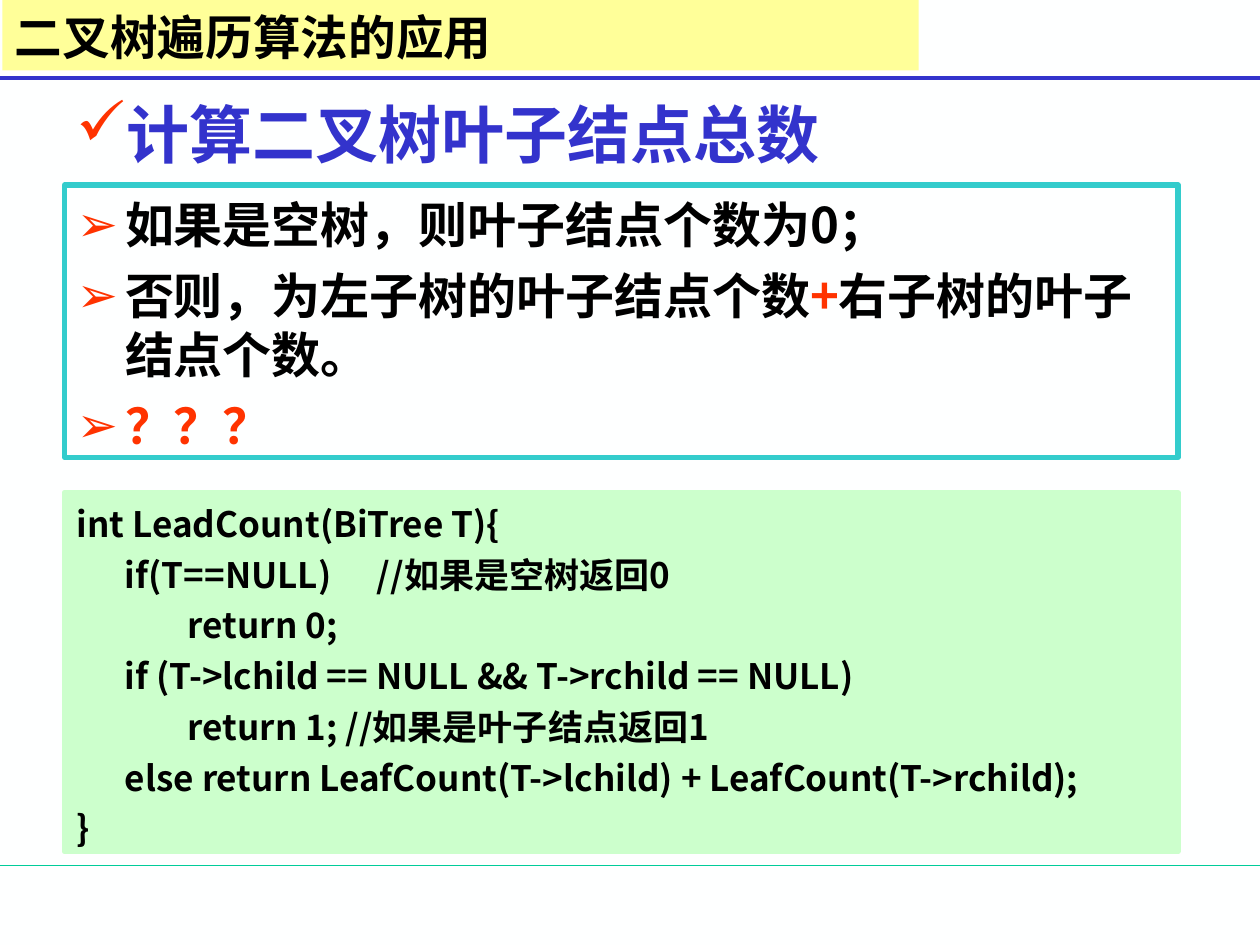
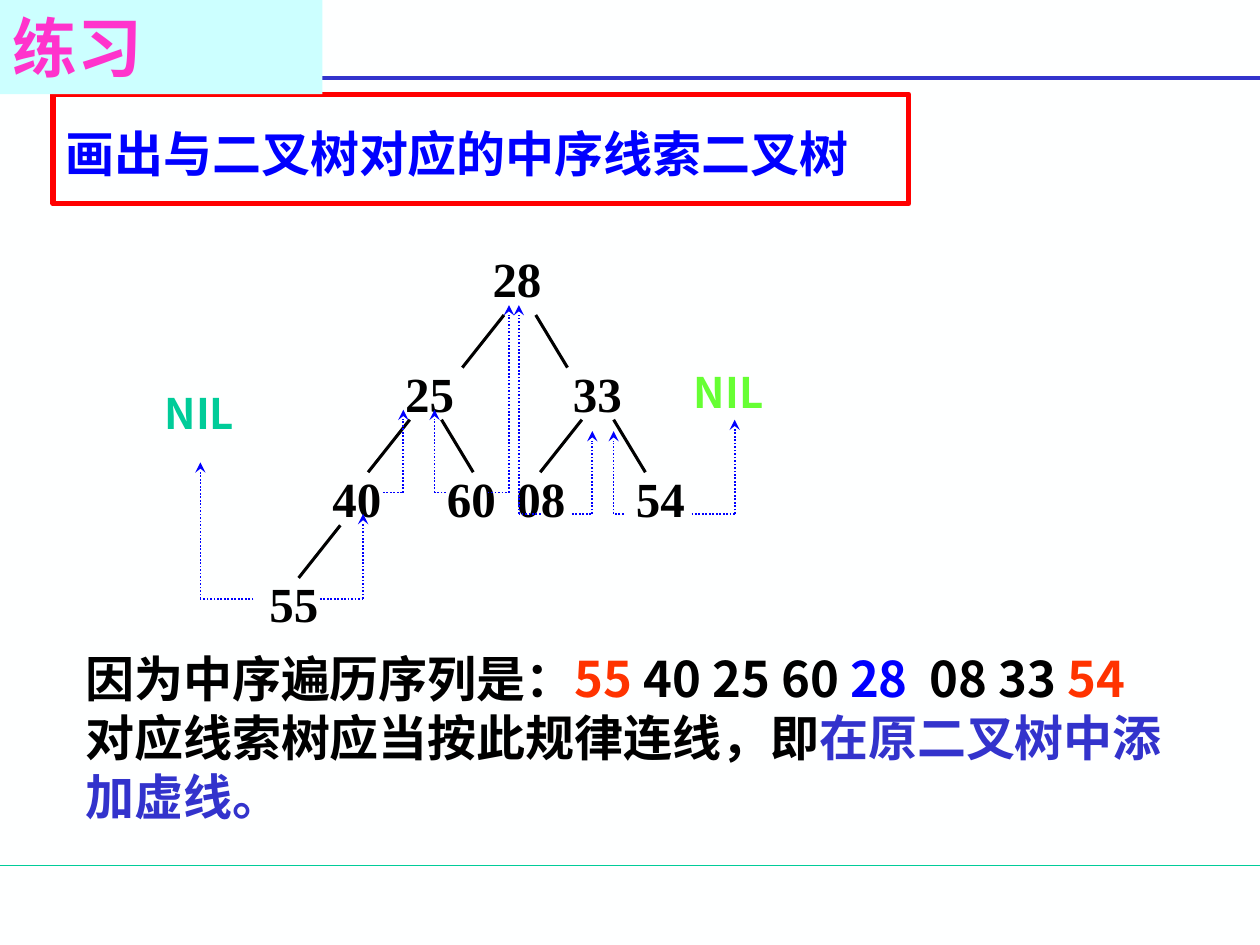
from lxml import etree
from pptx import Presentation
from pptx.dml.color import RGBColor
from pptx.enum.dml import MSO_LINE
from pptx.enum.shapes import MSO_CONNECTOR, MSO_SHAPE
from pptx.enum.text import MSO_ANCHOR, MSO_AUTO_SIZE, PP_ALIGN
from pptx.oxml.ns import qn
from pptx.util import Cm, Pt

STRAIGHT = MSO_CONNECTOR.STRAIGHT
RECTANGLE = MSO_SHAPE.RECTANGLE
DOTTED = MSO_LINE.ROUND_DOT
TOP, MIDDLE = MSO_ANCHOR.TOP, MSO_ANCHOR.MIDDLE
LEFT = PP_ALIGN.LEFT
NO_AUTOSIZE = MSO_AUTO_SIZE.NONE

PAPER = RGBColor(0xFE, 0xFF, 0xFF)
BLACK = RGBColor(0x00, 0x00, 0x00)
INDIGO = RGBColor(0x33, 0x33, 0xCC)
BLUE = RGBColor(0x00, 0x00, 0xFF)
GREEN = RGBColor(0x00, 0xCC, 0x99)
LIME = RGBColor(0x66, 0xFF, 0x33)
ORANGE = RGBColor(0xFF, 0x33, 0x00)
RED = RGBColor(0xFF, 0x00, 0x00)
PINK = RGBColor(0xFF, 0x33, 0xCC)
TURQUOISE = RGBColor(0x33, 0xCC, 0xCC)
PALE_YELLOW = RGBColor(0xFF, 0xFF, 0x99)
PALE_GREEN = RGBColor(0xCC, 0xFF, 0xCC)
PALE_CYAN = RGBColor(0xCC, 0xFF, 0xFF)

SANS = "Noto Sans CJK SC"
SERIF = "Times New Roman"
WIDTH, HEIGHT = 25.4, 19.05
HANGING = 0.97
TAB_STEP = 2.54
SANS_LEADING = 1.2

MASTER_RULES = [(17.45, GREEN, 0.75), (1.58, INDIGO, 2.25)]

LEAF_TITLE = "二叉树遍历算法的应用"
LEAF_HEADING = "计算二叉树叶子结点总数"
LEAF_RULES = [
    [("如果是空树，则叶子结点个数为0；", BLACK)],
    [("否则，为左子树的叶子结点个数", BLACK), ("+", ORANGE),
     ("右子树的叶子结点个数。", BLACK)],
    [("？？？", ORANGE)],
]
LEAF_CODE = [
    "int LeadCount(BiTree T){",
    " \tif(T==NULL) \t//如果是空树返回0",
    "\t\treturn 0;",
    "\tif (T->lchild == NULL && T->rchild == NULL)",
    "\t\treturn 1; //如果是叶子结点返回1",
    "\telse return LeafCount(T->lchild) + LeafCount(T->rchild);",
    "}",
]

EXERCISE_TITLE = "练习"
EXERCISE_TASK = "画出与二叉树对应的中序线索二叉树"
EXERCISE_NOTE = [
    [("因为中序遍历序列是：", BLACK), ("55", ORANGE), (" 40 25 60 ", BLACK),
     ("28", BLUE), ("  08 33 ", BLACK), ("54", ORANGE)],
    [("对应线索树应当按此规律连线，即", BLACK), ("在原二叉树中添加虚线。", INDIGO)],
]

NODES = [
    ("28", 9.68, 4.88),
    ("25", 7.92, 7.19), ("33", 11.3, 7.19),
    ("40", 6.45, 9.32), ("60", 8.76, 9.32), ("08", 10.16, 9.32), ("54", 12.57, 9.32),
    ("55", 5.18, 11.43),
]
NIL_MARKS = [(3.07, 7.62, GREEN), (13.74, 7.19, LIME)]
BRANCHES = [(10.16, 6.35, True), (8.26, 8.46, True), (11.73, 8.46, True), (6.86, 10.59, False)]
BRANCH_DROP, BRANCH_LEFT, BRANCH_RIGHT = 1.06, -0.84, 0.64

# start x, arrow x, start y, arrow tip y
THREADS = [
    (5.11, 4.04, 12.07, 9.32),
    (6.45, 7.32, 12.07, 10.36),
    (7.72, 8.13, 9.93, 8.26),
    (9.83, 10.26, 9.93, 6.15),
    (8.99, 8.76, 9.93, 8.26),
    (12.57, 12.37, 10.36, 8.69),
    (10.9, 10.46, 10.36, 6.15),
    (11.53, 11.94, 10.36, 8.69),
    (13.94, 14.81, 10.36, 8.46),
]


def add_line(page, start, end, color, weight, dotted=False, arrow=False):
    line = page.shapes.add_connector(STRAIGHT, *(Cm(value) for value in start + end))
    line.line.color.rgb = color
    line.line.width = Pt(weight)
    if dotted:
        line.line.dash_style = DOTTED
    if arrow:
        outline = line.line._get_or_add_ln()
        etree.SubElement(outline, qn("a:tailEnd"), type="stealth")
    etree.SubElement(line._element.spPr, qn("a:effectLst"))
    return line


def place(box, left, top, width, height):
    box.left, box.top, box.width, box.height = Cm(left), Cm(top), Cm(width), Cm(height)


def paint(box, fill=None, border=None):
    if fill is None:
        box.fill.background()
    else:
        box.fill.solid()
        box.fill.fore_color.rgb = fill
    if border is None:
        box.line.fill.background()
    else:
        box.line.color.rgb = border
        box.line.width = Pt(3)


def mark_paragraph(para, indent, bullet, tabbed):
    settings = para._p.get_or_add_pPr()
    settings.set("marL", str(Cm(indent)))
    settings.set("indent", str(-Cm(indent)))
    if bullet:
        color = etree.SubElement(settings, qn("a:buClr"))
        etree.SubElement(color, qn("a:srgbClr"), val=str(ORANGE))
        etree.SubElement(settings, qn("a:buChar"), char=bullet)
    else:
        etree.SubElement(settings, qn("a:buNone"))
    if tabbed:
        tabs = etree.SubElement(settings, qn("a:tabLst"))
        for step in range(8):
            etree.SubElement(tabs, qn("a:tab"), pos=str(Cm(step * TAB_STEP)), algn="l")


def write(box, lines, size, font=SANS, anchor=TOP, gap=0, indent=0, bullet=None,
          tabbed=False, leading=SANS_LEADING):
    frame = box.text_frame
    frame.word_wrap = True
    frame.auto_size = NO_AUTOSIZE
    frame.vertical_anchor = anchor
    frame.margin_left = frame.margin_right = Cm(0.25)
    frame.margin_top, frame.margin_bottom = (
        (Cm(0.2), Cm(0.05)) if font == SANS else (Cm(0.13), Cm(0.13)))
    for index, spans in enumerate(lines):
        para = frame.add_paragraph() if index else frame.paragraphs[0]
        mark_paragraph(para, indent, bullet, tabbed)
        para.alignment = LEFT
        para.space_before = Pt(gap if index else 0)
        para.line_spacing = Pt(round(size * leading, 1)) if font == SANS else 1.0
        for text, color in spans:
            span = para.add_run()
            span.text = text
            span.font.size = Pt(size)
            span.font.bold = True
            span.font.color.rgb = color
            span.font.name = font
            etree.SubElement(span._r.get_or_add_rPr(), qn("a:ea"), typeface=SANS)


def add_label(page, text, color, size, left, top, width, height, **style):
    label = page.shapes.add_textbox(Cm(left), Cm(top), Cm(width), Cm(height))
    write(label, [[(text, color)]], size, **style)


def add_panel(page, area, fill, border):
    panel = page.shapes.add_shape(RECTANGLE, *(Cm(value) for value in area))
    panel.shadow.inherit = False
    paint(panel, fill, border)
    return panel


def set_title(page, text, color, size, area, fill):
    title = page.shapes.title
    place(title, *area)
    paint(title, fill)
    write(title, [[(text, color)]], size, anchor=MIDDLE, leading=0.9 * SANS_LEADING)
    page.shapes._spTree.append(title._element)


def build_leaf_page(page):
    add_label(page, LEAF_HEADING, INDIGO, 36, 1.3, 1.73, 16.59, 1.78,
              anchor=MIDDLE, bullet="✓")
    rules = page.placeholders[1]
    place(rules, 1.3, 3.73, 22.45, 5.49)
    paint(rules, border=TURQUOISE)
    write(rules, LEAF_RULES, 28, gap=7, indent=HANGING, bullet="➢")
    code = add_panel(page, (1.3, 9.93, 22.45, 7.24), PALE_GREEN, PALE_GREEN)
    write(code, [[(line, BLACK)] for line in LEAF_CODE], 20, gap=5,
          indent=HANGING, tabbed=True)
    set_title(page, LEAF_TITLE, BLACK, 27.2, (0.05, 0, 18.47, 1.42), PALE_YELLOW)


def build_exercise_page(page):
    task = add_panel(page, (1.07, 1.9, 17.25, 2.21), None, RED)
    write(task, [[(EXERCISE_TASK, BLUE)]], 28, anchor=MIDDLE)
    for text, left, top in NODES:
        add_label(page, text, BLACK, 28, left, top, 1.65, 1.45, font=SERIF)
    for left, top, has_right in BRANCHES:
        bottom = top + BRANCH_DROP
        add_line(page, (left, top), (left + BRANCH_LEFT, bottom), BLACK, 1.75)
        if has_right:
            right = left + BRANCH_RIGHT
            add_line(page, (right, top), (right + BRANCH_RIGHT, bottom), BLACK, 1.75)
    for start, turn, level, tip in THREADS:
        add_line(page, (start, level), (turn, level), BLUE, 1, dotted=True)
        add_line(page, (turn, level), (turn, tip), BLUE, 1, dotted=True, arrow=True)
    for left, top, color in NIL_MARKS:
        add_label(page, "NIL", color, 24, left, top, 2.01, 1.27)
    note = page.placeholders[1]
    place(note, 1.47, 12.88, 22.66, 3.81)
    write(note, EXERCISE_NOTE, 28)
    set_title(page, EXERCISE_TITLE, PINK, 37, (0, 0, 6.5, 1.9), PALE_CYAN)


def main():
    deck = Presentation()
    deck.slide_width, deck.slide_height = Cm(WIDTH), Cm(HEIGHT)
    master = deck.slide_master
    master.background.fill.solid()
    master.background.fill.fore_color.rgb = PAPER
    leaf_page, exercise_page = (
        deck.slides.add_slide(deck.slide_layouts[1]) for _ in range(2))
    for level, color, weight in MASTER_RULES:
        rule = add_line(leaf_page, (0, level), (WIDTH, level), color, weight)
        master.shapes._spTree.append(rule._element)
    build_leaf_page(leaf_page)
    build_exercise_page(exercise_page)
    deck.save("out.pptx")


if __name__ == "__main__":
    main()
